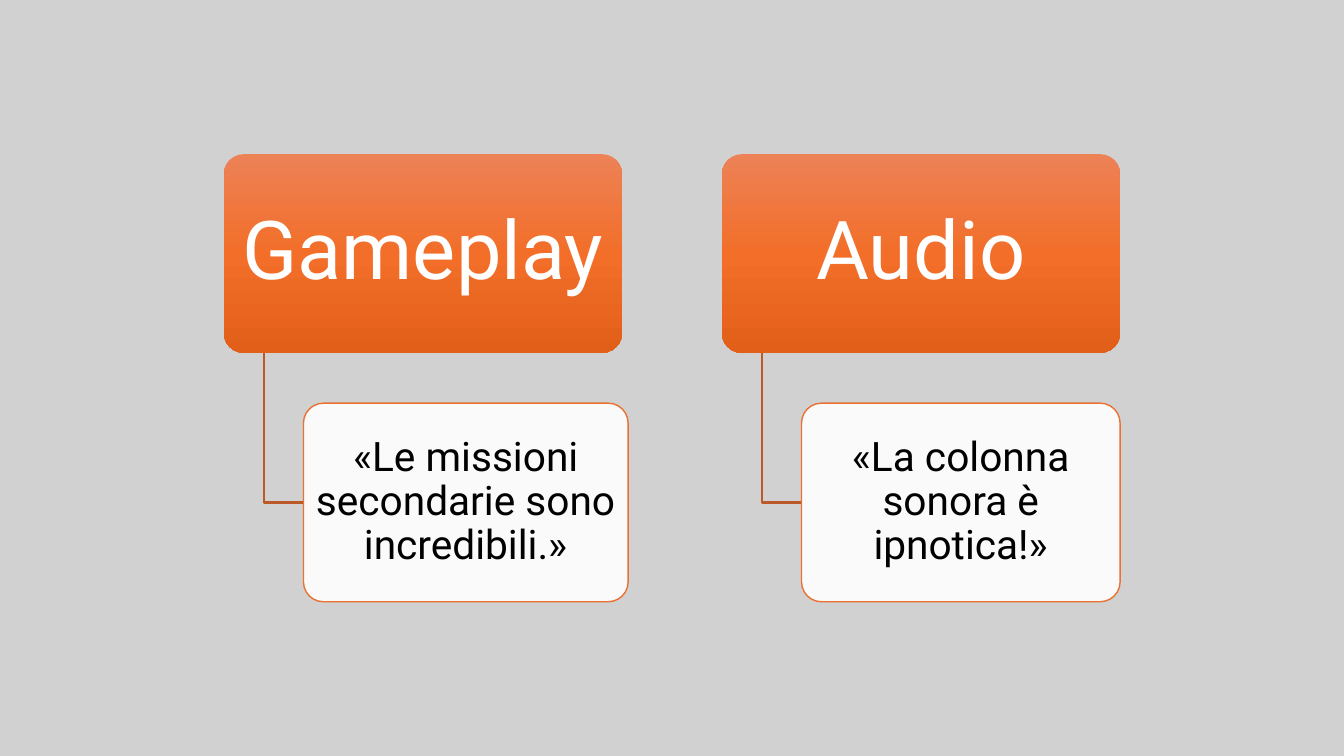
from copy import deepcopy
from dataclasses import dataclass

from lxml import etree
from pptx import Presentation
from pptx.dml.color import RGBColor
from pptx.enum.shapes import MSO_SHAPE
from pptx.enum.text import MSO_ANCHOR, PP_ALIGN
from pptx.oxml.ns import qn
from pptx.util import Inches, Pt

ROUND = MSO_SHAPE.ROUNDED_RECTANGLE
MIDDLE = MSO_ANCHOR.MIDDLE
CENTER = PP_ALIGN.CENTER

FONT = "Roboto"
COLORS = {
    "back": "D1D1D1",
    "top": "ED8257",
    "mid": "F26E29",
    "base": "E25F1A",
    "link": "BB5A28",
    "edge": "E97132",
    "white": "FFFFFF",
    "black": "000000",
}

# Shared layout, in inches
HEAD_TOP, HEAD_WIDTH = 1.53, 3.95
QUOTE_TOP, HEIGHT = 4.0, 1.97
LINK_IN, QUOTE_IN = 0.4, 0.79


@dataclass
class Topic:
    left: float
    title: str
    quote: str
    width: float


TOPICS = [
    Topic(2.22, "Gameplay", "«Le missioni secondarie sono incredibili.»", 3.22),
    Topic(7.16, "Audio", "«La colonna sonora è ipnotica!»", 3.16),
]


def color(name: str) -> RGBColor:
    return RGBColor.from_string(COLORS[name])


def write(shape, text: str, *, size: float, ink: str, side: float, edge: float) -> None:
    frame = shape.text_frame
    frame.word_wrap = True
    frame.vertical_anchor = MIDDLE
    frame.margin_left = frame.margin_right = Inches(side)
    frame.margin_top = frame.margin_bottom = Inches(edge)
    para = frame.paragraphs[0]
    para.alignment = CENTER
    para.line_spacing = 0.9
    run = para.add_run()
    run.text = text
    run.font.name = FONT
    run.font.size = Pt(size)
    run.font.color.rgb = color(ink)


def add_box(slide, left: float, top: float, width: float):
    box = slide.shapes.add_shape(
        ROUND, Inches(left), Inches(top), Inches(width), Inches(HEIGHT)
    )
    box.adjustments[0] = 0.1
    box.shadow.inherit = False
    return box


def add_head(slide, topic: Topic) -> None:
    box = add_box(slide, topic.left, HEAD_TOP, HEAD_WIDTH)
    box.line.fill.background()
    box.fill.gradient()
    box.fill.gradient_angle = 270
    # A third stop for the gradient
    stops = box.element.spPr.find(".//" + qn("a:gsLst"))
    stops.append(deepcopy(stops[0]))
    for stop, place, name in zip(
        box.fill.gradient_stops, (0, 0.5, 1), ("top", "mid", "base")
    ):
        stop.position = place
        stop.color.rgb = color(name)
    write(box, topic.title, size=58, ink="white", side=0.12, edge=0.08)


def add_link(slide, topic: Topic) -> None:
    start = Inches(topic.left + LINK_IN)
    end = Inches(topic.left + QUOTE_IN)
    middle = Inches(QUOTE_TOP + HEIGHT / 2)
    path = slide.shapes.build_freeform(start, Inches(HEAD_TOP + HEIGHT))
    path.add_line_segments([(start, middle), (end, middle)], close=False)
    link = path.convert_to_shape()
    link.shadow.inherit = False
    link.fill.background()
    link.line.color.rgb = color("link")
    link.line.width = Pt(1.5)


def add_quote(slide, topic: Topic) -> None:
    box = add_box(slide, topic.left + QUOTE_IN, QUOTE_TOP, topic.width)
    box.fill.solid()
    box.fill.fore_color.rgb = color("white")
    # 90% opaque
    tint = box.element.spPr.find(qn("a:solidFill"))[0]
    etree.SubElement(tint, qn("a:alpha")).set("val", "90000")
    box.line.color.rgb = color("edge")
    box.line.width = Pt(1)
    write(box, topic.quote, size=29, ink="black", side=0.06, edge=0.04)


def main() -> None:
    deck = Presentation()
    deck.slide_width, deck.slide_height = Inches(13.33), Inches(7.5)
    slide = deck.slides.add_slide(deck.slide_layouts[6])
    slide.background.fill.solid()
    slide.background.fill.fore_color.rgb = color("back")

    # One column per topic: heading, elbow line, quote
    for topic in TOPICS:
        add_head(slide, topic)
        add_link(slide, topic)
        add_quote(slide, topic)

    deck.save("out.pptx")


if __name__ == "__main__":
    main()
